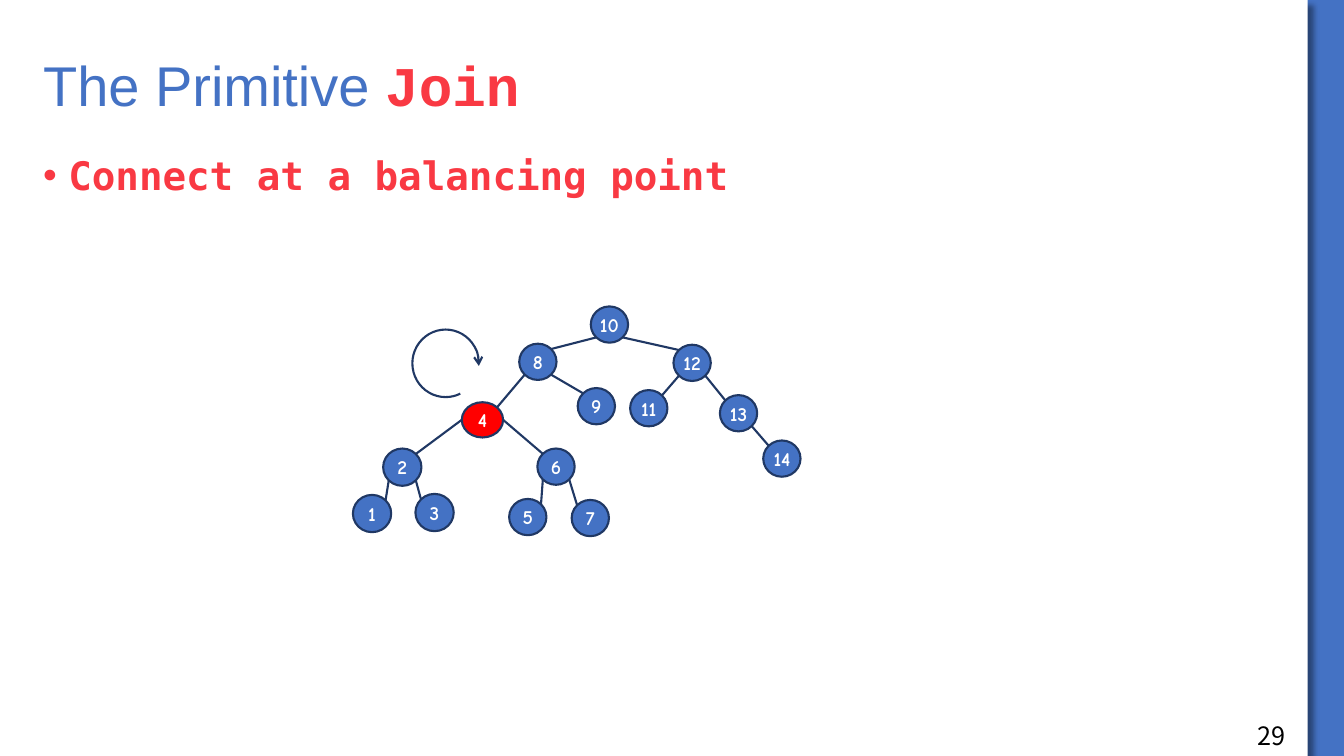
from dataclasses import dataclass
from math import sqrt

from lxml import etree
from pptx import Presentation
from pptx.dml.color import RGBColor
from pptx.enum.shapes import MSO_CONNECTOR, MSO_SHAPE
from pptx.enum.text import MSO_ANCHOR, PP_ALIGN
from pptx.oxml.ns import qn
from pptx.util import Inches, Pt

RECTANGLE, ELLIPSE, ARC = MSO_SHAPE.RECTANGLE, MSO_SHAPE.OVAL, MSO_SHAPE.ARC
STRAIGHT = MSO_CONNECTOR.STRAIGHT
TOP, MIDDLE = MSO_ANCHOR.TOP, MSO_ANCHOR.MIDDLE
LEFT, CENTER = PP_ALIGN.LEFT, PP_ALIGN.CENTER


@dataclass(frozen=True)
class Theme:
    blue: str = "4472C4"
    navy: str = "203864"
    coral: str = "F93943"
    red: str = "FF0000"
    white: str = "FFFFFF"
    black: str = "000000"
    line_width: float = 1.5
    title: int = 40
    body: int = 28
    number: int = 18
    label: int = 14


THEME = Theme()
TITLE = dict(name="Arial", size=THEME.title, color=THEME.blue)
TITLE_CODE = dict(name="Courier New", size=THEME.title, color=THEME.coral, bold=True)
BODY = dict(name="DejaVu Sans Mono", size=THEME.body, color=THEME.coral, bold=True)
NUMBER = dict(name="Noto Sans CJK SC", size=THEME.number, color=THEME.black)
LABEL = dict(name="Comic Neue", size=THEME.label, color=THEME.white, bold=True)

SMALL, WIDE, ROOT = (0.37, 0.36), (0.38, 0.37), (0.41, 0.35)
NODES = {
    10: (5.86, 3.04, *SMALL),
    8: (5.15, 3.41, *SMALL),
    12: (6.68, 3.42, *SMALL),
    4: (4.58, 3.99, *ROOT),
    9: (5.73, 3.85, *SMALL),
    11: (6.25, 3.87, *SMALL),
    13: (7.14, 3.92, *SMALL),
    14: (7.57, 4.37, *SMALL),
    2: (3.8, 4.45, *WIDE),
    6: (5.33, 4.45, *SMALL),
    1: (3.5, 4.91, *WIDE),
    3: (4.12, 4.9, *WIDE),
    5: (5.05, 4.95, *SMALL),
    7: (5.67, 4.96, *SMALL),
}
CHILDREN = {10: (8, 12), 8: (4, 9), 12: (11, 13), 13: (14,), 4: (2, 6), 2: (1, 3), 6: (5, 7)}
BALANCING_POINT = 4
DIAGONAL = 1 / sqrt(2)


def inches(*values):
    return [Inches(value) for value in values]


def add_span(para, text, style):
    span = para.add_run()
    span.text = text
    values = {**style, "size": Pt(style["size"])}
    span.font.color.rgb = RGBColor.from_string(values.pop("color"))
    for name, value in values.items():
        setattr(span.font, name, value)


def add_text(page, area, spans, anchor=TOP, line_spacing=1.0):
    box = page.shapes.add_textbox(*inches(*area))
    box.text_frame.word_wrap = True
    box.text_frame.vertical_anchor = anchor
    para = box.text_frame.paragraphs[0]
    para.alignment = LEFT
    para.line_spacing = line_spacing
    for text, style in spans:
        add_span(para, text, style)
    return para


def add_bullet(para, indent):
    properties = para._p.get_or_add_pPr()
    properties.set("marL", str(Inches(indent)))
    properties.set("indent", str(-Inches(indent)))
    etree.SubElement(properties, qn("a:buFont")).set("typeface", "Arial")
    etree.SubElement(properties, qn("a:buChar")).set("char", "•")


def set_line(item):
    item.line.color.rgb = RGBColor.from_string(THEME.navy)
    item.line.width = Pt(THEME.line_width)


def add_shape(page, kind, area, fill=None):
    shape = page.shapes.add_shape(kind, *inches(*area))
    shape.shadow.inherit = False
    if fill:
        shape.fill.solid()
        shape.fill.fore_color.rgb = RGBColor.from_string(fill)
    else:
        shape.fill.background()
    return shape


def add_panel(page):
    panel = add_shape(page, RECTANGLE, (0, 0, 12.97, 7.5), THEME.white)
    panel.line.fill.background()
    effects = panel._element.spPr.find(qn("a:effectLst"))
    shadow = etree.SubElement(effects, qn("a:outerShdw"), blurRad=str(Pt(4)), dist=str(Pt(6)),
                              dir=str(45 * 60000), algn="tl", rotWithShape="0")
    color = etree.SubElement(shadow, qn("a:srgbClr"), val=THEME.black)
    etree.SubElement(color, qn("a:alpha"), val="40000")


def add_node(page, key):
    fill = THEME.red if key == BALANCING_POINT else THEME.blue
    node = add_shape(page, ELLIPSE, NODES[key], fill)
    set_line(node)
    frame = node.text_frame
    layout = dict(word_wrap=False, vertical_anchor=MIDDLE, margin_left=0,
                  margin_right=0, margin_top=0, margin_bottom=0)
    for name, value in layout.items():
        setattr(frame, name, value)
    frame.paragraphs[0].alignment = CENTER
    add_span(frame.paragraphs[0], str(key), LABEL)


def rim_point(key, across, down):
    left, top, width, height = NODES[key]
    return left + width * (1 + across) / 2, top + height * (1 + down) / 2


def add_edge(page, parent, child):
    side = -1 if child < parent else 1
    if parent == BALANCING_POINT:
        start = rim_point(parent, side, 0)
    else:
        start = rim_point(parent, side * DIAGONAL, DIAGONAL)
    end = rim_point(child, -side * DIAGONAL, -DIAGONAL)
    edge = page.shapes.add_connector(STRAIGHT, *inches(*start, *end))
    set_line(edge)
    etree.SubElement(edge._element.spPr, qn("a:effectLst"))


def add_rotation_arrow(page):
    arc = add_shape(page, ARC, (4.09, 3.27, 0.66, 0.67))
    set_line(arc)
    for index, degrees in enumerate((64.14, 4.39)):
        arc.adjustments[index] = degrees * 60000 / 100000
    etree.SubElement(arc.line._get_or_add_ln(), qn("a:tailEnd"), type="arrow")


def add_tree(page):
    for parent, children in CHILDREN.items():
        for child in children:
            add_edge(page, parent, child)
    for key in NODES:
        add_node(page, key)


def main():
    deck = Presentation()
    deck.slide_width, deck.slide_height = inches(13.33, 7.5)
    page = deck.slides.add_slide(deck.slide_layouts[6])
    page.background.fill.solid()
    page.background.fill.fore_color.rgb = RGBColor.from_string(THEME.blue)
    add_panel(page)
    add_text(page, (0.33, 0.5, 12.33, 0.75),
             [("The Primitive ", TITLE), ("Join", TITLE_CODE)], MIDDLE, 0.9)
    point = add_text(page, (0.33, 1.5, 12.33, 5.75),
                     [("Connect at a balancing point", BODY)], line_spacing=0.9)
    add_bullet(point, 0.25)
    add_text(page, (12.37, 7.1, 0.86, 0.4), [("29", NUMBER)])
    add_tree(page)
    add_rotation_arrow(page)
    deck.save("out.pptx")


if __name__ == "__main__":
    main()
